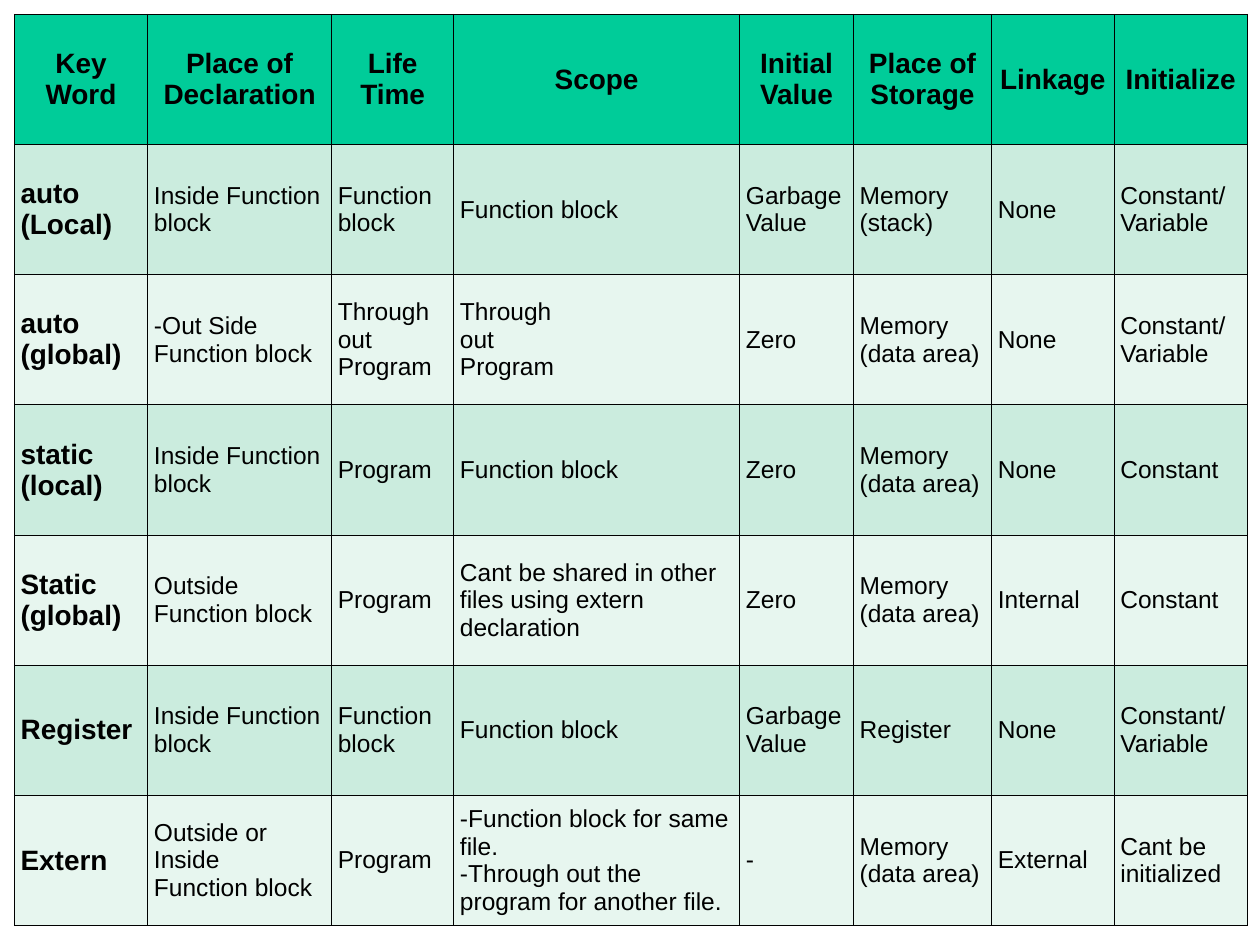
from dataclasses import dataclass

from lxml.etree import SubElement as Sub
from pptx import Presentation
from pptx.dml.color import RGBColor as RGB
from pptx.enum.text import MSO_ANCHOR as Anchor, PP_ALIGN as Align
from pptx.oxml.ns import qn
from pptx.util import Pt


@dataclass(frozen=True)
class Theme:
    font: str = "Arial"
    ink: str = "000000"
    head: str = "00CC99"
    bands: tuple = ("CBECDE", "E7F6EF")
    large: float = 16
    small: float = 14
    rule: float = 0.45
    inset: float = 3.6


THEME = Theme()
LEFT, TOP, HIGH = 8.2, 8.2, 74.4
WIDTHS = (76.2, 105.1, 69.8, 163.4, 65, 79, 70, 76.2)

HEADS = ("Key Word", "Place of Declaration", "Life Time", "Scope",
         "Initial Value", "Place of Storage", "Linkage", "Initialize")
# A line break inside a text starts a new paragraph.
ROWS = (
    ("auto\n(Local)", "Inside Function block", "Function block",
     "Function block", "Garbage Value", "Memory (stack)", "None",
     "Constant/ Variable"),
    ("auto\n(global)", "-Out Side Function block", "Through out Program",
     "Through\nout\nProgram", "Zero", "Memory\n(data area)", "None",
     "Constant/ Variable"),
    ("static (local)", "Inside Function block", "Program",
     "Function block", "Zero", "Memory\n(data area)", "None", "Constant"),
    ("Static (global)", "Outside Function block", "Program",
     "Cant be shared in other files using extern declaration", "Zero",
     "Memory (data area)", "Internal", "Constant"),
    ("Register", "Inside Function block", "Function block",
     "Function block", "Garbage Value", "Register", "None",
     "Constant/ Variable"),
    ("Extern", "Outside or Inside\nFunction block", "Program",
     "-Function block for same file.\n"
     "-Through out the program for another file.", "-",
     "Memory (data area)", "External", "Cant be initialized"),
)


def set_all(thing, values):
    for name, value in values.items():
        setattr(thing, name, value)


def rule_cell(cell):
    """Draw a thin line on all four sides; lines must precede the fill."""
    props = cell._tc.get_or_add_tcPr()
    for place, side in enumerate(("lnL", "lnR", "lnT", "lnB")):
        line = Sub(props, qn(f"a:{side}"), w=str(int(Pt(THEME.rule))))
        solid = Sub(line, qn("a:solidFill"))
        Sub(solid, qn("a:srgbClr"), val=THEME.ink)
        props.insert(place, line)


def fill_cell(cell, text, color, bold, align):
    pad = Pt(THEME.inset)
    set_all(cell, {"text": text, "vertical_anchor": Anchor.MIDDLE,
                   "margin_left": pad, "margin_right": pad,
                   "margin_top": pad, "margin_bottom": pad})
    cell.fill.solid()
    cell.fill.fore_color.rgb = RGB.from_string(color)
    rule_cell(cell)
    size = THEME.large if bold else THEME.small
    for para in cell.text_frame.paragraphs:
        para.alignment = align
        for run in para.runs:
            set_all(run.font, {"name": THEME.font, "size": Pt(size),
                               "bold": bold})
            run.font.color.rgb = RGB.from_string(THEME.ink)


def add_grid(slide):
    rows = (HEADS, *ROWS)
    frame = slide.shapes.add_table(
        len(rows), len(HEADS), Pt(LEFT), Pt(TOP),
        Pt(sum(WIDTHS)), Pt(HIGH * len(rows)))
    table = frame.table
    table.horz_banding = False
    for col, width in zip(table.columns, WIDTHS):
        col.width = Pt(width)
    for r, texts in enumerate(rows):
        table.rows[r].height = Pt(HIGH)
        head = r == 0
        color = THEME.head if head else THEME.bands[(r - 1) % 2]
        align = Align.CENTER if head else Align.LEFT
        for c, text in enumerate(texts):
            fill_cell(table.cell(r, c), text, color, head or c == 0, align)


def main():
    deck = Presentation()
    set_all(deck, {"slide_width": Pt(720), "slide_height": Pt(540)})
    add_grid(deck.slides.add_slide(deck.slide_layouts[6]))
    deck.save("out.pptx")


if __name__ == "__main__":
    main()
